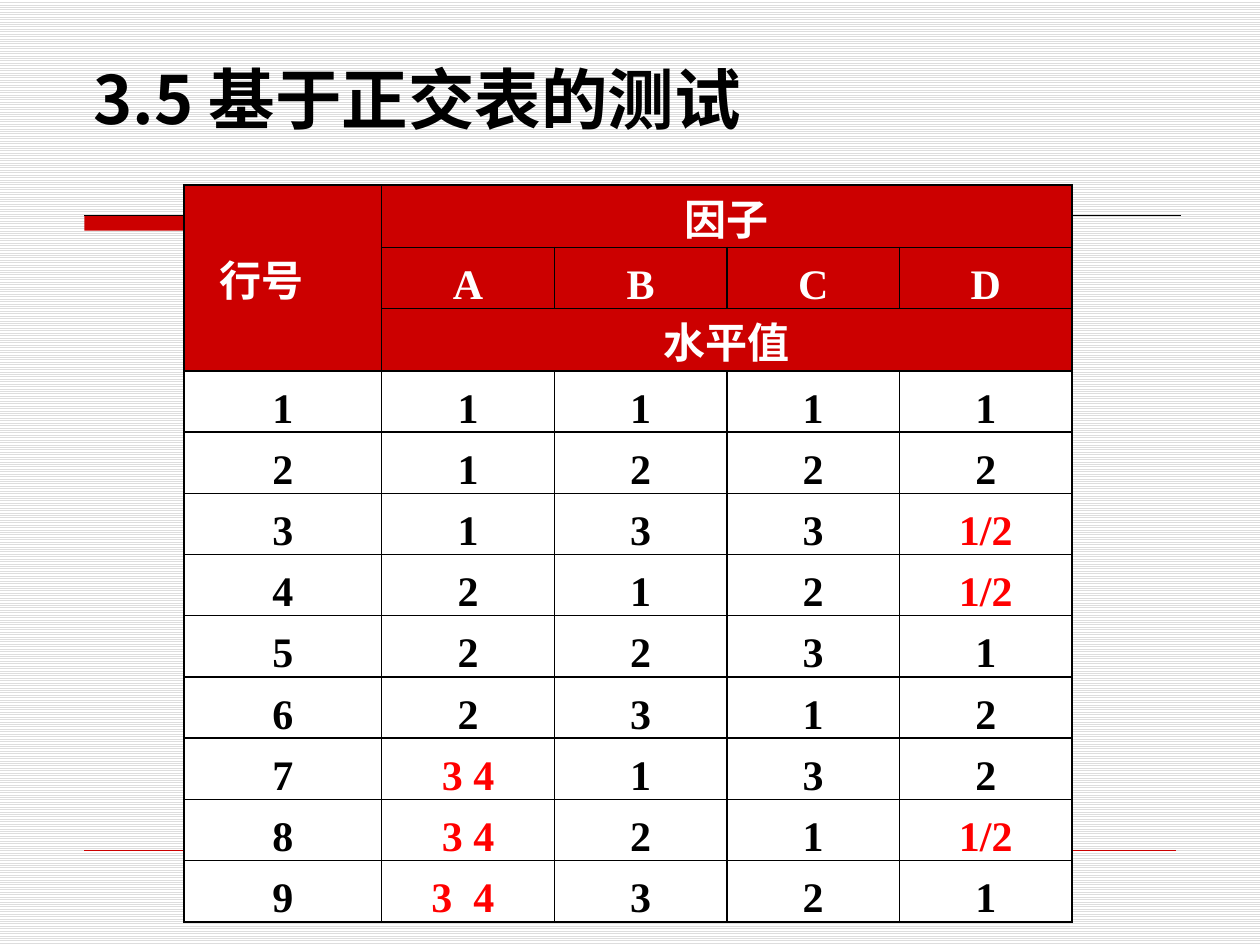
import pptx
import pptx.dml.color
import pptx.enum.dml
import pptx.enum.shapes
import pptx.enum.text
import pptx.oxml.ns
import pptx.util
from lxml import etree

Inches = pptx.util.Inches
Pt = pptx.util.Pt
Anchor = pptx.enum.text.MSO_ANCHOR
Align = pptx.enum.text.PP_ALIGN
qn = pptx.oxml.ns.qn

RED, BLACK, WHITE, HIGHLIGHT = "CC0000", "000000", "FFFFFF", "FF0000"
CJK_FONT, LATIN_FONT = "Noto Sans CJK SC", "Times New Roman"

HEADER_ROWS = [
    ["行号　", "因子", "", "", ""],
    ["", "A", "B", "C", "D"],
    ["", "水平值", "", "", ""],
]
TEST_ROWS = [
    ["1", "1", "1", "1", "1"],
    ["2", "1", "2", "2", "2"],
    ["3", "1", "3", "3", "1/2"],
    ["4", "2", "1", "2", "1/2"],
    ["5", "2", "2", "3", "1"],
    ["6", "2", "3", "1", "2"],
    ["7", "4", "1", "3", "2"],
    ["8", "4", "2", "1", "1/2"],
    ["9", "3  4 ", "3", "2", "1"],
]
MERGES = [((0, 0), (2, 0)), ((0, 1), (0, 4)), ((2, 1), (2, 4))]
HIGHLIGHTED = {"1/2", "4", "3  4 "}
LIST_STARTS = {"4": 3}  # level 4 stands behind list number 3


def color(value):
    return pptx.dml.color.RGBColor.from_string(value)


def set_values(target, values):
    for name, value in values.items():
        setattr(target, name, value)


class SlideBuilder:
    """Holds the style and the current slide."""

    def __init__(self, presentation):
        self.slide = presentation.slides.add_slide(presentation.slide_layouts[5])

    def background(self, foreground, back):
        fill = self.slide.background.fill
        fill.patterned()
        fill.pattern = pptx.enum.dml.MSO_PATTERN.LIGHT_HORIZONTAL
        fill.fore_color.rgb = color(foreground)
        fill.back_color.rgb = color(back)

    def add_text(self, paragraph, text, size, latin, text_color):
        run = paragraph.add_run()
        run.text = text
        set_values(run.font, {"size": Pt(size), "bold": True, "name": latin})
        run.font.color.rgb = color(text_color)
        east_asian = etree.SubElement(run.font._element, qn("a:ea"))
        east_asian.set("typeface", CJK_FONT)

    def title(self, text, left, top, width, height):
        shape = self.slide.shapes.title
        set_values(shape, {"left": Inches(left), "top": Inches(top),
                           "width": Inches(width), "height": Inches(height)})
        set_values(shape.text_frame, {"vertical_anchor": Anchor.BOTTOM, "word_wrap": True,
                                      "auto_size": pptx.enum.text.MSO_AUTO_SIZE.NONE})
        paragraph = shape.text_frame.paragraphs[0]
        paragraph.alignment = Align.LEFT
        self.add_text(paragraph, text, 38, CJK_FONT, BLACK)

    def bar(self, left, top, width, height, fill):
        shape = self.slide.shapes.add_shape(
            pptx.enum.shapes.MSO_SHAPE.RECTANGLE,
            Inches(left), Inches(top), Inches(width), Inches(height))
        shape.shadow.inherit = False
        shape.fill.solid()
        shape.fill.fore_color.rgb = color(fill)
        shape.line.fill.background()

    def rule(self, left, right, top, line_color, width):
        line = self.slide.shapes.add_connector(
            pptx.enum.shapes.MSO_CONNECTOR.STRAIGHT,
            Inches(left), Inches(top), Inches(right), Inches(top))
        line.line.color.rgb = color(line_color)
        line.line.width = Pt(width)
        etree.SubElement(line._element.spPr, qn("a:effectLst"))

    def borders(self, cell):
        properties = cell._tc.get_or_add_tcPr()
        for side in ("lnL", "lnR", "lnT", "lnB"):
            line = etree.SubElement(properties, qn(f"a:{side}"), w=str(Pt(1)))
            fill = etree.SubElement(line, qn("a:solidFill"))
            etree.SubElement(fill, qn("a:srgbClr"), val=BLACK)

    def number_from(self, paragraph, start):
        properties = paragraph._p.get_or_add_pPr()
        properties.set("marL", str(Inches(0.25)))
        properties.set("indent", str(-Inches(0.25)))
        etree.SubElement(properties, qn("a:buAutoNum"), type="arabicPlain", startAt=str(start))

    def cell(self, cell, text, fill, text_color, anchor=Anchor.BOTTOM, start=None):
        self.borders(cell)
        cell.fill.solid()
        cell.fill.fore_color.rgb = color(fill)
        set_values(cell, {"margin_left": Inches(0.01), "margin_right": Inches(0.01),
                          "margin_top": Inches(0.01), "margin_bottom": 0,
                          "vertical_anchor": anchor})
        paragraph = cell.text_frame.paragraphs[0]
        paragraph.alignment = Align.CENTER
        if start:
            self.number_from(paragraph, start)
        if text:
            self.add_text(paragraph, text, 24, LATIN_FONT, text_color)

    def table(self, left, top, height, widths, header, body, merges):
        rows = header + body
        table = self.slide.shapes.add_table(
            len(rows), len(widths), Inches(left), Inches(top),
            Inches(sum(widths)), Inches(height)).table
        set_values(table, {"first_row": False, "horz_banding": False})
        for column, width in zip(table.columns, widths):
            column.width = Inches(width)
        for row_index, texts in enumerate(rows):
            table.rows[row_index].height = Inches(height / len(rows))
            for column_index, text in enumerate(texts):
                cell = table.cell(row_index, column_index)
                if row_index < len(header):
                    anchor = Anchor.BOTTOM if column_index else Anchor.MIDDLE
                    self.cell(cell, text, RED, WHITE, anchor)
                elif column_index and text in HIGHLIGHTED:
                    self.cell(cell, text, WHITE, HIGHLIGHT, start=LIST_STARTS.get(text))
                else:
                    self.cell(cell, text, WHITE, BLACK)
        for first, last in merges:
            table.cell(*first).merge(table.cell(*last))


def main():
    presentation = pptx.Presentation()
    set_values(presentation, {"slide_width": Inches(10), "slide_height": Inches(7.5)})
    builder = SlideBuilder(presentation)

    # Background and decorative rules
    builder.background("DDDDDD", WHITE)
    builder.bar(0.67, 1.71, 5.09, 0.12, RED)
    builder.rule(0.67, 9.37, 1.71, BLACK, 0.75)
    builder.rule(0.67, 9.33, 6.75, RED, 0.25)

    # Title and orthogonal array
    builder.title("3.5 基于正交表的测试", 0.64, 0.2, 8.75, 0.94)
    builder.table(1.46, 1.47, 5.83, [1.57] + [1.37] * 4, HEADER_ROWS, TEST_ROWS, MERGES)

    presentation.save("out.pptx")


if __name__ == "__main__":
    main()
